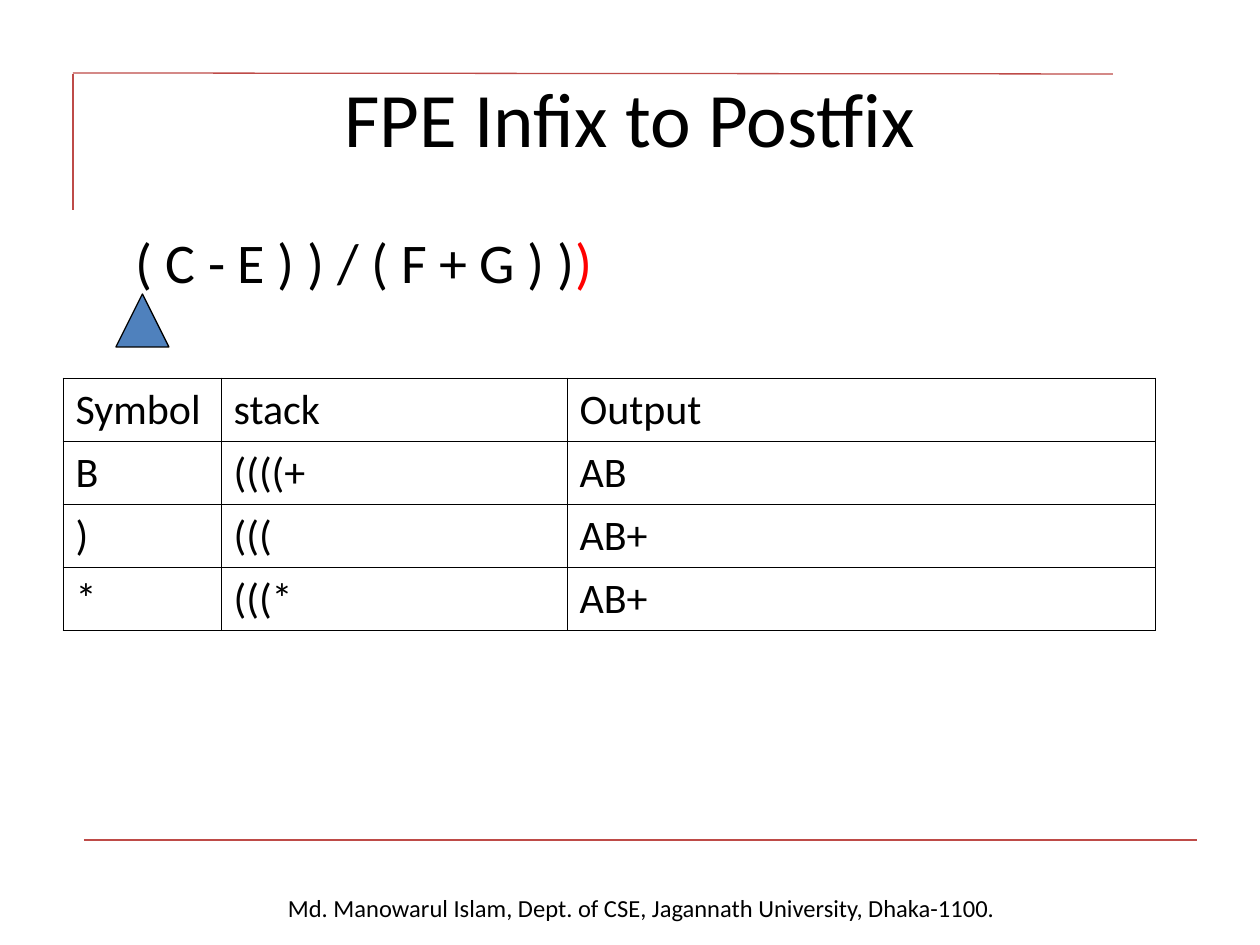
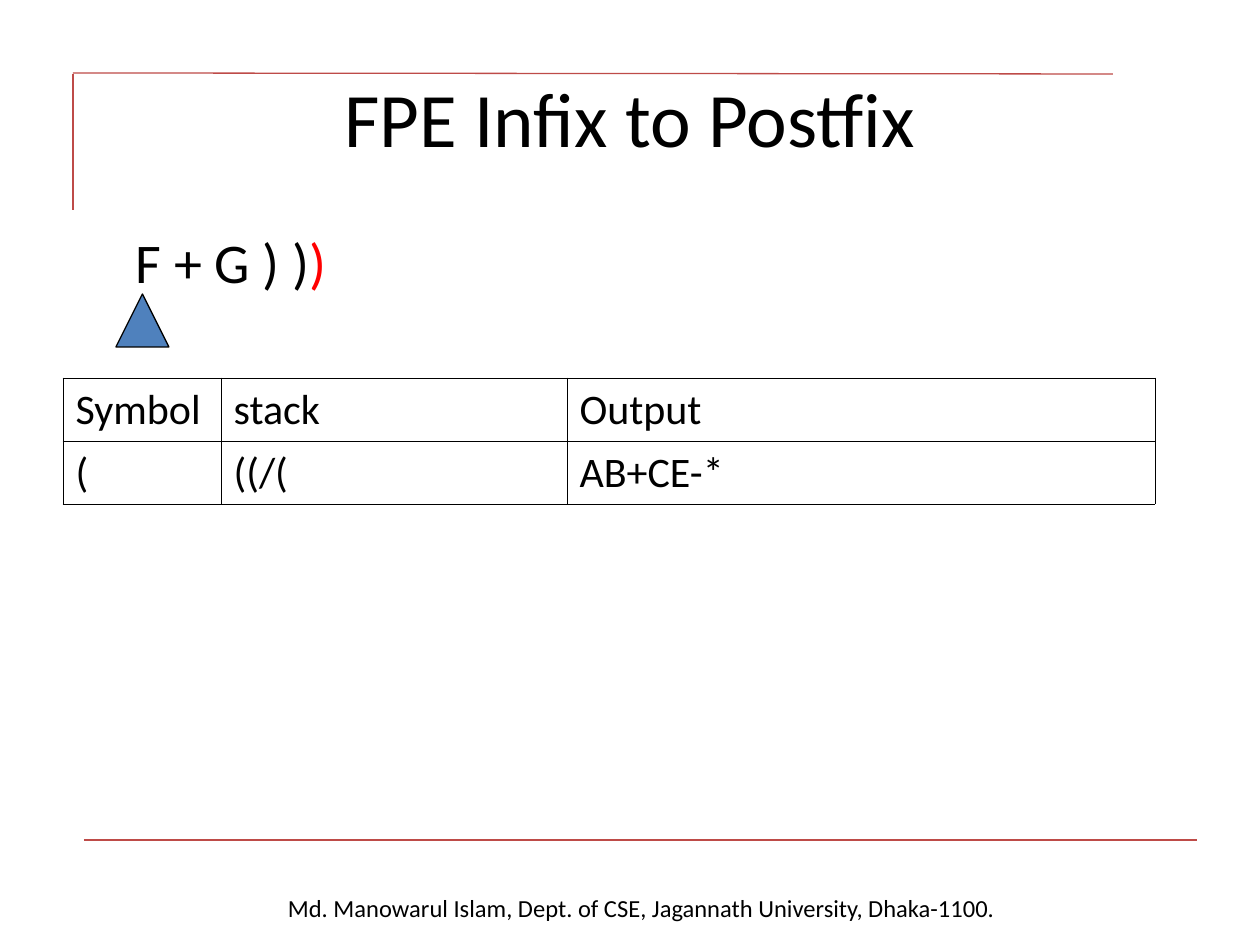
import pptx
import pptx.dml.color
import pptx.enum.shapes
import pptx.enum.text
import pptx.oxml
import pptx.oxml.ns
import pptx.util

PX_PER_INCH = 126
EMU_PER_PX = 914400 / PX_PER_INCH

BLACK = pptx.dml.color.RGBColor(0x00, 0x00, 0x00)
RED = pptx.dml.color.RGBColor(0xFF, 0x00, 0x00)
RULE_RED = pptx.dml.color.RGBColor(0xBE, 0x4B, 0x48)
POINTER_BLUE = pptx.dml.color.RGBColor(0x4F, 0x81, 0xBD)

FONT = "Calibri"
TITLE = "FPE Infix to Postfix"
FOOTER = "Md. Manowarul Islam, Dept. of CSE, Jagannath University, Dhaka-1100."
RULES = [(73, 74, 73, 210), (73, 73, 1113, 74), (84, 840, 1197, 840)]
HEADINGS = ("Symbol", "stack", "Output")
COLUMN_WIDTHS = (158, 346, 588)
ROW_HEIGHT = 63
BORDER_WIDTH = pptx.util.Pt(0.45)

STEPS = [
    ("( C - E ) ) / ( F + G ) )",
     [("B", "((((+", "AB"), (")", "(((", "AB+"), ("*", "(((*", "AB+")]),
    ("F + G ) )", [("(", "((/(", "AB+CE-*")]),
]


def px(*lengths):
    return [pptx.util.Emu(round(length * EMU_PER_PX)) for length in lengths]


def style(paragraph, size):
    paragraph.font.name = FONT
    paragraph.font.size = pptx.util.Pt(size)
    paragraph.font.color.rgb = BLACK


def add_text(slide, box, text, size, align=pptx.enum.text.PP_ALIGN.LEFT,
             anchor=pptx.enum.text.MSO_ANCHOR.TOP):
    frame = slide.shapes.add_textbox(*px(*box)).text_frame
    frame.word_wrap = True
    frame.vertical_anchor = anchor
    paragraph = frame.paragraphs[0]
    paragraph.alignment = align
    paragraph.add_run().text = text
    style(paragraph, size)
    return frame


def add_rule(slide, ends):
    rule = slide.shapes.add_connector(
        pptx.enum.shapes.MSO_CONNECTOR.STRAIGHT, *px(*ends))
    rule.line.color.rgb = RULE_RED
    rule.line.width = pptx.util.Pt(0.75)
    rule._element.spPr.append(pptx.oxml.parse_xml(
        f"<a:effectLst {pptx.oxml.ns.nsdecls('a')}/>"))


def add_frame(slide):
    center = pptx.enum.text.PP_ALIGN.CENTER
    add_text(slide, (48, 887, 1187, 43), FOOTER, 14, center)
    for ends in RULES:
        add_rule(slide, ends)
    add_text(slide, (63, 38, 1134, 158), TITLE, 44, center,
             pptx.enum.text.MSO_ANCHOR.MIDDLE)


def add_expression(slide, remaining):
    frame = add_text(slide, (63, 221, 1134, 623), remaining, 32)
    frame.margin_left = px(73)[0]
    closing = frame.paragraphs[0].add_run()
    closing.text = ")"
    closing.font.color.rgb = RED


def add_pointer(slide):
    pointer = slide.shapes.add_shape(
        pptx.enum.shapes.MSO_SHAPE.ISOSCELES_TRIANGLE, *px(116, 294, 53, 53))
    pointer.shadow.inherit = False
    pointer.fill.solid()
    pointer.fill.fore_color.rgb = POINTER_BLUE
    pointer.line.color.rgb = BLACK
    pointer.line.width = pptx.util.Pt(0.75)


def add_borders(cell):
    properties = cell._tc.get_or_add_tcPr()
    for side in ("lnL", "lnR", "lnT", "lnB"):
        properties.append(pptx.oxml.parse_xml(
            f'<a:{side} {pptx.oxml.ns.nsdecls("a")} w="{BORDER_WIDTH}">'
            f'<a:solidFill><a:srgbClr val="{BLACK}"/></a:solidFill></a:{side}>'))


def add_trace(slide, steps):
    rows = [HEADINGS, *steps]
    box = px(63, 378, sum(COLUMN_WIDTHS), ROW_HEIGHT * len(rows))
    trace = slide.shapes.add_table(len(rows), len(HEADINGS), *box).table
    trace.first_row = False
    trace.horz_banding = False
    for column, width in zip(trace.columns, px(*COLUMN_WIDTHS)):
        column.width = width
    for r, row in enumerate(rows):
        for c, text in enumerate(row):
            cell = trace.cell(r, c)
            cell.text = text
            style(cell.text_frame.paragraphs[0], 24)
            add_borders(cell)
            cell.fill.background()


def main():
    deck = pptx.Presentation()
    deck.slide_width, deck.slide_height = px(1260, 945)
    for remaining, steps in STEPS:
        slide = deck.slides.add_slide(deck.slide_layouts[6])
        add_frame(slide)
        add_expression(slide, remaining)
        add_pointer(slide)
        add_trace(slide, steps)
    deck.save("out.pptx")


if __name__ == "__main__":
    main()
